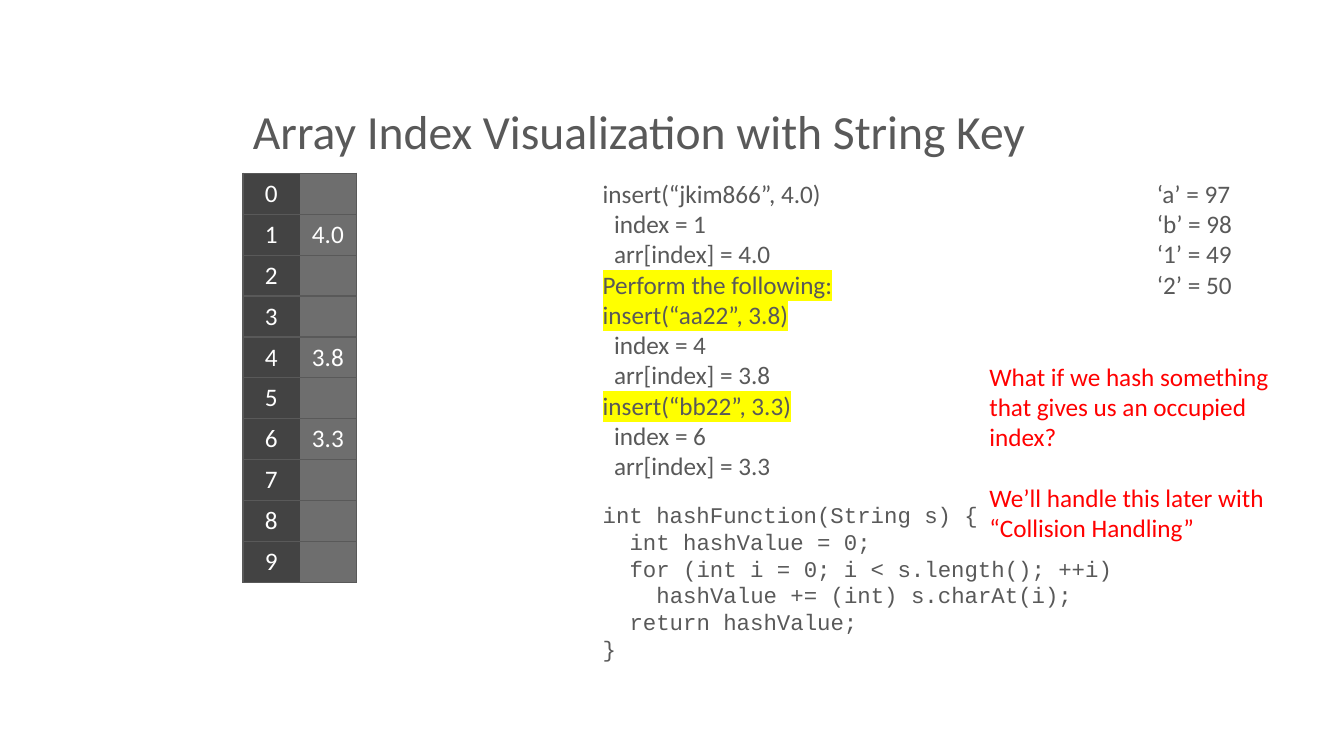
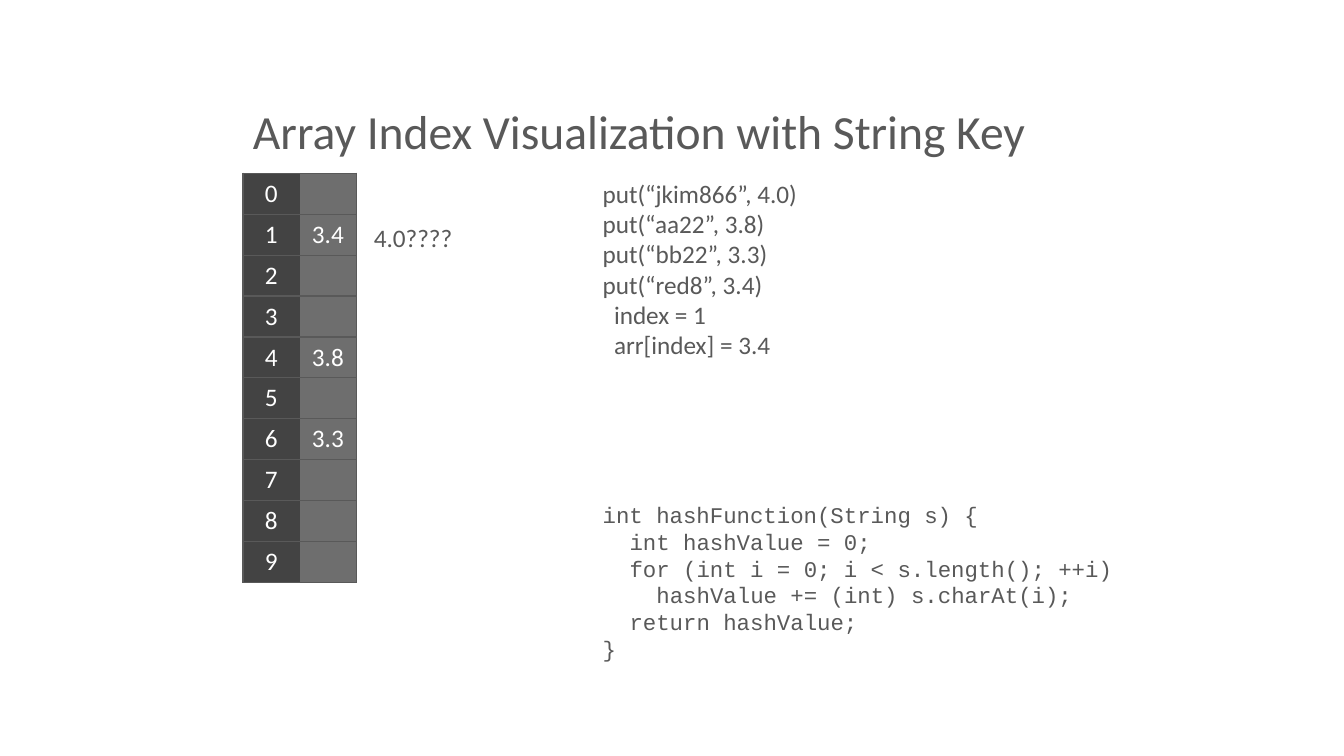
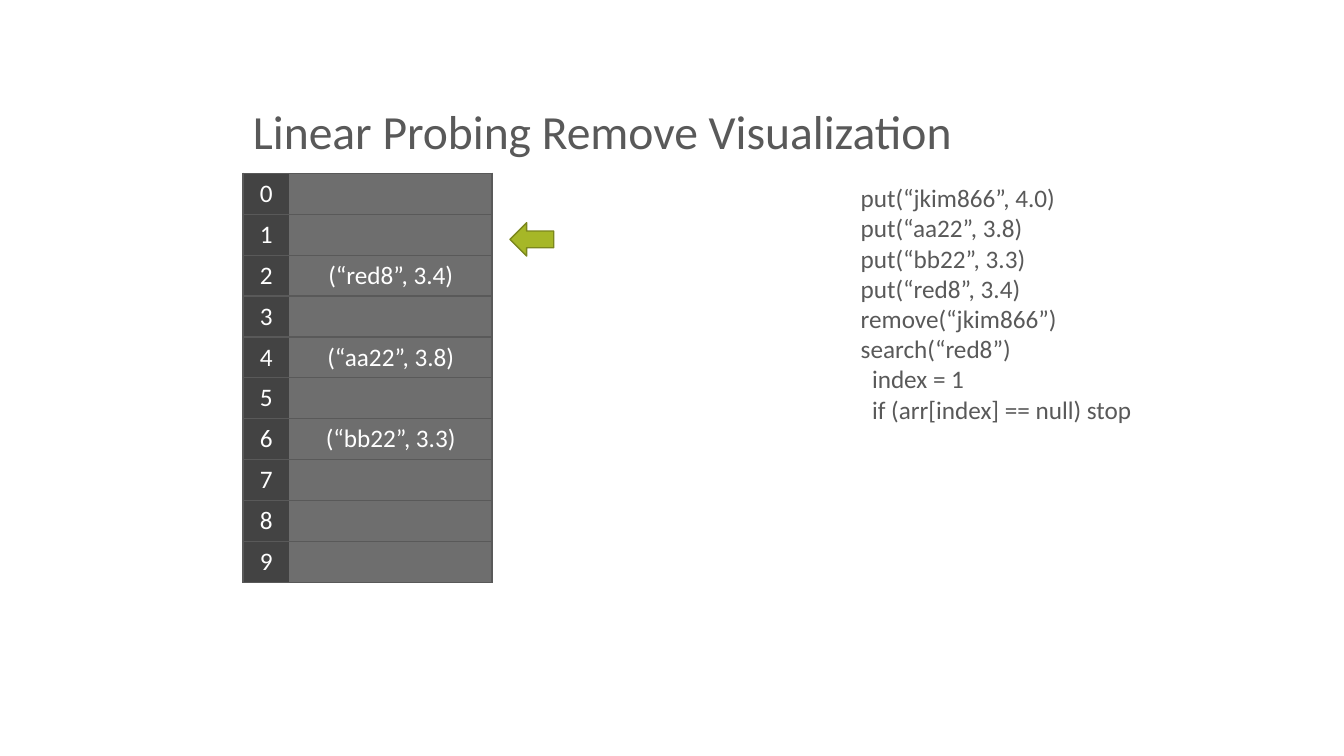
import pptx
import pptx.util
import pptx.dml.color
import pptx.enum.shapes
import pptx.enum.text
import pptx.oxml
import pptx.oxml.ns

Pt = pptx.util.Pt
qn = pptx.oxml.ns.qn
ALIGN = pptx.enum.text.PP_ALIGN
ANCHOR = pptx.enum.text.MSO_ANCHOR

# Shared style
COLORS = {"text": "595959", "index": "434343", "value": "6E6E6E", "white": "FFFFFF",
          "warning": "FF0000", "highlight": "FFFF00", "arrow": "A6B727", "arrow_line": "7B871D"}
BODY, CODE = "Calibri", "Courier New"
SPACE_WIDTH = {BODY: 0.226, CODE: 0.6}  # of the text size
NO_GRID_STYLE = "{2D5ABB26-0587-4C30-8999-92F81FD0307C}"
TITLE_BOX = (173.5, 23.76, 738, 94.32)
TABLE_LEFT, TABLE_TOP, ROW_HEIGHT, SLOTS = 173.5, 123.8, 29.25, 10
CODE_BOX = (423.4, 354.24, 416.2, 123.8)

# Content
HASH_CODE = ["int hashFunction(String s) {", "  int hashValue = 0;",
             "  for (int i = 0; i < s.length(); ++i)",
             "    hashValue += (int) s.charAt(i);", "  return hashValue;", "}"]
PUTS = ["put(“jkim866”, 4.0)", "put(“aa22”, 3.8)", "put(“bb22”, 3.3)", "put(“red8”, 3.4)"]
HASH_BLOCK = {"text": HASH_CODE, "box": CODE_BOX, "font": CODE, "size": 16}
SLIDES = [
    {"title": "Array Index Visualization with String Key",
     "columns": (40.5, 40.5), "values": {1: "4.0", 4: "3.8", 6: "3.3"},
     "blocks": [
         {"text": ["insert(“jkim866”, 4.0)", "  index = 1", "  arr[index] = 4.0",
                   "Perform the following:", "insert(“aa22”, 3.8)", "  index = 4",
                   "  arr[index] = 3.8", "insert(“bb22”, 3.3)", "  index = 6",
                   "  arr[index] = 3.3"],
          "box": (423.4, 123.8, 193.7, 247), "highlighted": (3, 4, 7)},
         HASH_BLOCK,
         {"text": ["‘a’ = 97", "‘b’ = 98", "‘1’ = 49", "‘2’ = 50"],
          "box": (819.2, 123.8, 81, 94.3)},
         {"text": ["What if we hash something that gives us an occupied index?",
                   "We’ll handle this later with “Collision Handling”"],
          "box": (699.6, 254.2, 239, 138.2), "color": "warning", "gap": 21.6}]},
    {"title": "Array Index Visualization with String Key",
     "columns": (40.5, 40.5), "values": {1: "3.4", 4: "3.8", 6: "3.3"},
     "blocks": [
         {"text": PUTS + ["  index = 1", "  arr[index] = 3.4"],
          "box": (423.4, 123.8, 172, 138.2)},
         HASH_BLOCK,
         {"text": ["4.0????"], "box": (259.9, 155.5, 74.2, 28.8)}]},
    {"title": "Linear Probing Remove Visualization",
     "columns": (33.3, 144.7),
     "values": {2: "(“red8”, 3.4)", 4: "(“aa22”, 3.8)", 6: "(“bb22”, 3.3)"},
     "blocks": [
         {"text": PUTS + ["remove(“jkim866”)", "search(“red8”)", "  index = 1",
                          "  if (arr[index] == null) stop"],
          "box": (607.7, 126.7, 245.5, 181.4)}],
     "arrow": (364.3, 159.1, 31.3, 23.8)},
]


def rgb(name):
    return pptx.dml.color.RGBColor.from_string(COLORS[name])


def write(tf, lines, font=BODY, size=18, color="text", align=ALIGN.LEFT,
          highlighted=(), gap=0, line_spacing=None):
    """One paragraph per line; leading spaces become a paragraph indent."""
    for i, line in enumerate(lines):
        p = tf.paragraphs[0] if i == 0 else tf.add_paragraph()
        p.alignment = align
        p.space_before = Pt(gap if i else 0)
        if line_spacing:
            p.line_spacing = line_spacing
        text = line.lstrip(" ")
        indent = (len(line) - len(text)) * SPACE_WIDTH[font] * size
        if indent:
            p._p.get_or_add_pPr().set("marL", str(Pt(indent)))
        r = p.add_run()
        r.text = text
        r.font.name, r.font.size = font, Pt(size)
        r.font.color.rgb = rgb(color)
        if i in highlighted:
            mark = pptx.oxml.parse_xml(
                f'<a:highlight {pptx.oxml.ns.nsdecls("a")}>'
                f'<a:srgbClr val="{COLORS["highlight"]}"/></a:highlight>')
            r.font._element.find(qn("a:solidFill")).addnext(mark)


def place(sp, box):
    sp.left, sp.top, sp.width, sp.height = map(Pt, box)


def add_block(s, text, box, **style):
    tf = s.shapes.add_textbox(*map(Pt, box)).text_frame
    tf.word_wrap = True
    write(tf, text, **style)


def set_borders(cell, sides):
    # Border elements come before the fill
    tcPr = cell._tc.get_or_add_tcPr()
    for n, side in enumerate(sides):
        tcPr.insert(n, pptx.oxml.parse_xml(
            f'<a:ln{side} {pptx.oxml.ns.nsdecls("a")} w="{Pt(1)}"><a:solidFill>'
            f'<a:srgbClr val="{COLORS["text"]}"/></a:solidFill></a:ln{side}>'))


def add_array(s, columns, values):
    table = s.shapes.add_table(SLOTS, 2, Pt(TABLE_LEFT), Pt(TABLE_TOP),
                               Pt(sum(columns)), Pt(SLOTS * ROW_HEIGHT)).table
    table.first_row = table.horz_banding = False
    table._tbl.tblPr.find(qn("a:tableStyleId")).text = NO_GRID_STYLE
    for column, width in zip(table.columns, columns):
        column.width = Pt(width)
    for i, row in enumerate(table.rows):
        row.height = Pt(ROW_HEIGHT)
        looks = ((str(i), "index", "LTB"), (values.get(i), "value", "RTB"))
        for cell, (text, fill, sides) in zip(row.cells, looks):
            cell.fill.solid()
            cell.fill.fore_color.rgb = rgb(fill)
            set_borders(cell, sides)
            if text:
                write(cell.text_frame, [text], color="white", align=ALIGN.CENTER)


def add_arrow(s, box):
    sp = s.shapes.add_shape(pptx.enum.shapes.MSO_SHAPE.LEFT_ARROW, *map(Pt, box))
    sp.shadow.inherit = False
    sp.fill.solid()
    sp.fill.fore_color.rgb = rgb("arrow")
    sp.line.color.rgb = rgb("arrow_line")
    sp.line.width = Pt(1)


def main():
    prs = pptx.Presentation()
    prs.slide_width, prs.slide_height = Pt(960), Pt(540)

    # Title position is shared through the layout
    layout = prs.slide_layouts.get_by_name("Title Only")
    title = layout.placeholders[0]
    place(title, TITLE_BOX)
    title.text_frame.vertical_anchor = ANCHOR.BOTTOM
    title.text_frame.auto_size = pptx.enum.text.MSO_AUTO_SIZE.NONE

    for content in SLIDES:
        s = prs.slides.add_slide(layout)
        write(s.shapes.title.text_frame, [content["title"]], size=34, line_spacing=0.9)
        add_array(s, content["columns"], content["values"])
        for block in content["blocks"]:
            add_block(s, **block)
        if "arrow" in content:
            add_arrow(s, content["arrow"])
    prs.save("out.pptx")


if __name__ == "__main__":
    main()
